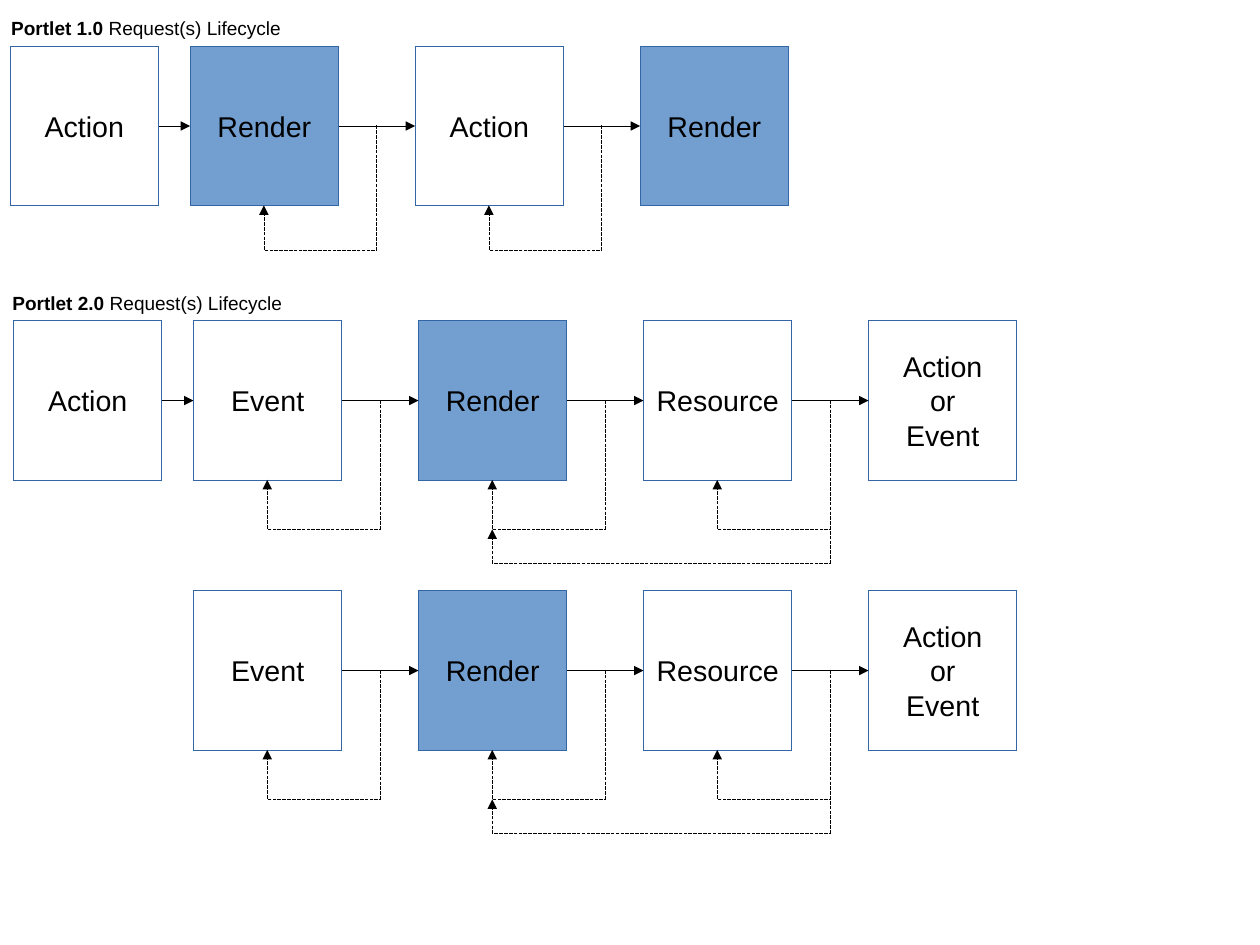
"""Builds a slide comparing the Portlet 1.0 and Portlet 2.0 request lifecycles."""
import dataclasses

import lxml.etree
import pptx
import pptx.dml.color
import pptx.enum.dml
import pptx.enum.shapes
import pptx.enum.text
import pptx.oxml.ns
import pptx.util

EMU_PER_PX = 9000
BOX_WIDTH, BOX_HEIGHT = 132, 142
LEAD_STEP, STEP = 160, 200
LOOP_OFFSET = (STEP - BOX_WIDTH) // 2
WIDE_LOOP_DROP = 30


@dataclasses.dataclass(frozen=True)
class Theme:
    font: str = "Arial"
    text: str = "000000"
    arrow: str = "000000"
    outline: str = "3465A4"
    render_fill: str = "729FCF"
    title_size: int = 12
    box_size: int = 18


THEME = Theme()


def px(length):
    return pptx.util.Emu(length * EMU_PER_PX)


def rgb(color):
    return pptx.dml.color.RGBColor.from_string(color)


def add_child(parent, tag, **attributes):
    child = lxml.etree.SubElement(parent, pptx.oxml.ns.qn(tag))
    for name, value in attributes.items():
        child.set(name, value)
    return child


def write_text(paragraph, text, *, size, bold=False):
    paragraph.alignment = pptx.enum.text.PP_ALIGN.CENTER
    run = paragraph.add_run()
    run.text = text
    run.font.name = THEME.font
    run.font.size = pptx.util.Pt(size)
    run.font.bold = bold
    run.font.color.rgb = rgb(THEME.text)


def set_hairline(shape, color):
    shape.line.color.rgb = rgb(color)
    line = shape._element.spPr.find(pptx.oxml.ns.qn("a:ln"))
    line.set("w", "0")
    return line


def add_title(slide, left, top, version):
    shape = slide.shapes.add_textbox(px(left), px(top), px(260), px(29))
    shape.text_frame.word_wrap = False
    paragraph = shape.text_frame.paragraphs[0]
    write_text(paragraph, version, size=THEME.title_size, bold=True)
    write_text(paragraph, " Request(s) Lifecycle", size=THEME.title_size)


def add_box(slide, left, top, label):
    shape = slide.shapes.add_shape(
        pptx.enum.shapes.MSO_SHAPE.RECTANGLE,
        px(left), px(top), px(BOX_WIDTH), px(BOX_HEIGHT))
    shape.shadow.inherit = False
    set_hairline(shape, THEME.outline)
    if label == "Render":
        shape.fill.solid()
        shape.fill.fore_color.rgb = rgb(THEME.render_fill)
    else:
        shape.fill.background()
    frame = shape.text_frame
    frame.word_wrap = False
    frame.vertical_anchor = pptx.enum.text.MSO_ANCHOR.MIDDLE
    for index, line in enumerate(label.split("\n")):
        paragraph = frame.add_paragraph() if index else frame.paragraphs[0]
        write_text(paragraph, line, size=THEME.box_size)


def add_arrow(slide, kind, start, end, *, dashed=False):
    connector = slide.shapes.add_connector(
        kind, px(start[0]), px(start[1]), px(end[0]), px(end[1]))
    line = set_hairline(connector, THEME.arrow)
    if dashed:
        connector.line.dash_style = pptx.enum.dml.MSO_LINE.SQUARE_DOT
    add_child(line, "a:tailEnd", type="triangle")
    add_child(connector._element.spPr, "a:effectLst")
    return connector


def add_loop(slide, start, end, drop):
    across, down = start[0] - end[0], end[1] - start[1]
    left = (start[0] + end[0] - down) // 2
    top = (start[1] + end[1] - across) // 2
    connector = add_arrow(
        slide, pptx.enum.shapes.MSO_CONNECTOR.ELBOW,
        (left, top), (left + down, top + across), dashed=True)
    connector.rotation = 90
    geometry = connector._element.spPr.find(pptx.oxml.ns.qn("a:prstGeom"))
    bend = round((down + drop) / down * 100000)
    add_child(geometry.find(pptx.oxml.ns.qn("a:avLst")), "a:gd",
              name="adj1", fmla=f"val {bend}")


def add_lifecycle(slide, left, top, labels, *, drop, lead=False, wide_loop=False):
    middle, bottom = top + BOX_HEIGHT // 2, top + BOX_HEIGHT
    straight = pptx.enum.shapes.MSO_CONNECTOR.STRAIGHT
    if lead:
        add_box(slide, left - LEAD_STEP, top, "Action")
        add_arrow(slide, straight,
                  (left - LEAD_STEP + BOX_WIDTH, middle), (left, middle))
    lefts = [left + STEP * index for index in range(len(labels))]
    for box_left, label in zip(lefts, labels):
        add_box(slide, box_left, top, label)
    for box_left in lefts[:-1]:
        right = box_left + BOX_WIDTH
        add_arrow(slide, straight, (right, middle), (box_left + STEP, middle))
        add_loop(slide, (right + LOOP_OFFSET, middle),
                 (box_left + BOX_WIDTH // 2, bottom), drop)
    if wide_loop:
        add_loop(slide, (lefts[2] + BOX_WIDTH + LOOP_OFFSET, middle),
                 (lefts[1] + BOX_WIDTH // 2, bottom + drop), WIDE_LOOP_DROP)


def main():
    presentation = pptx.Presentation()
    presentation.slide_width, presentation.slide_height = px(1120), px(840)
    slide = presentation.slides.add_slide(presentation.slide_layouts[6])

    add_title(slide, 0, 10, "Portlet 1.0")
    add_lifecycle(slide, 169, 41, ["Render", "Action", "Render"],
                  drop=40, lead=True)

    add_title(slide, 1, 254, "Portlet 2.0")
    phases = ["Event", "Render", "Resource", "Action\nor\nEvent"]
    for top, lead in ((285, True), (525, False)):
        add_lifecycle(slide, 172, top, phases,
                      drop=44, lead=lead, wide_loop=True)

    presentation.save("out.pptx")


if __name__ == "__main__":
    main()
